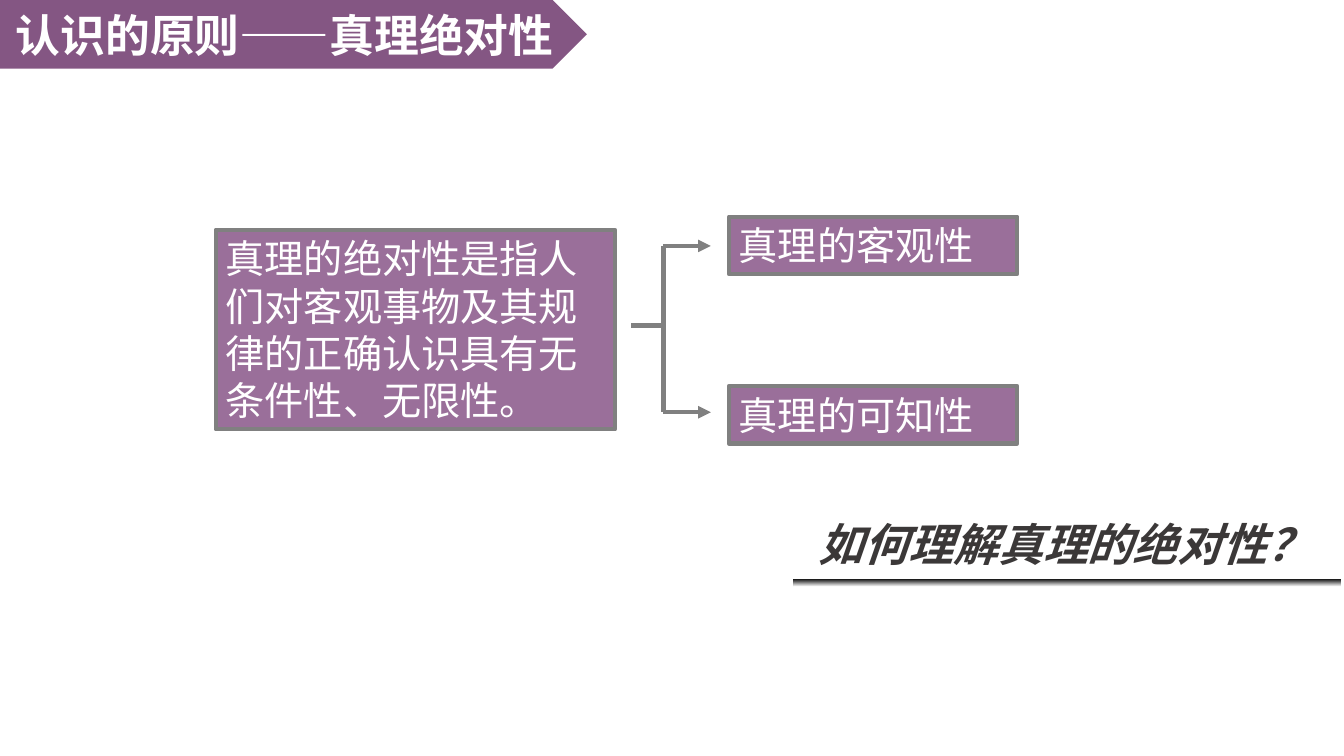
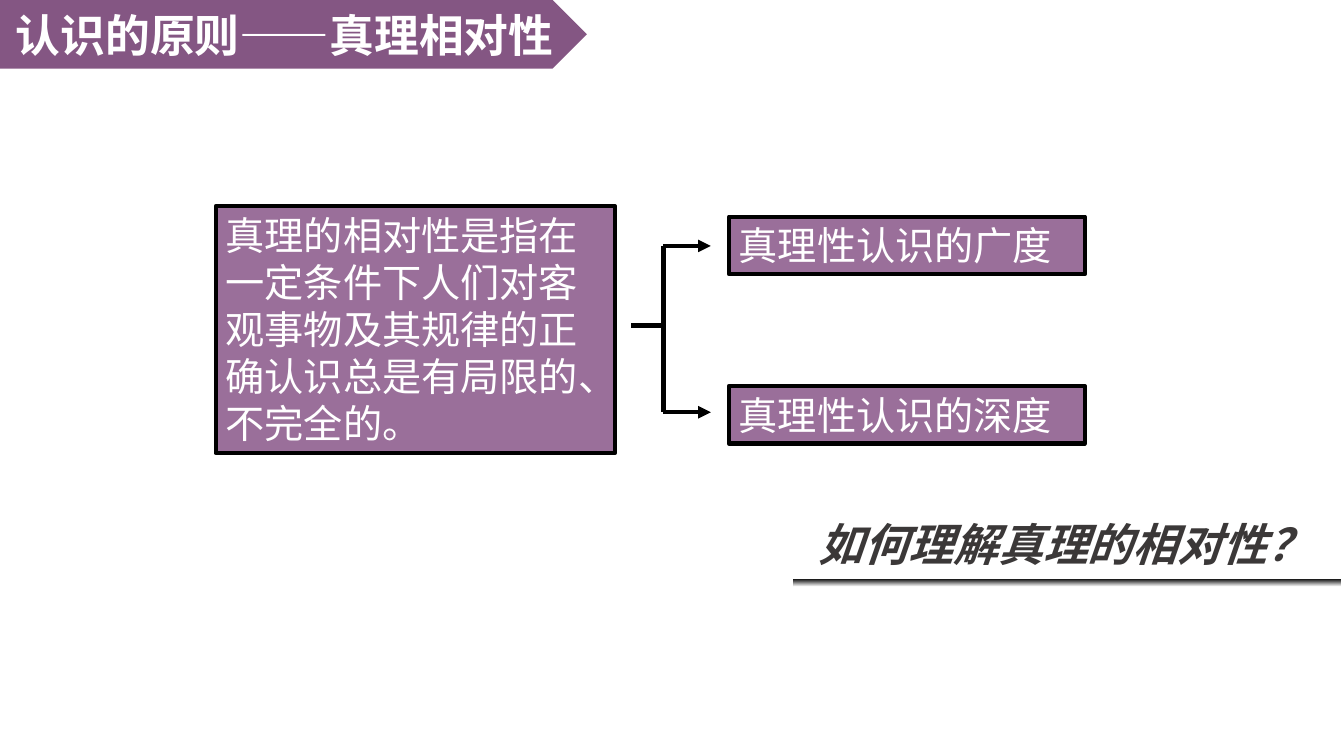
from dataclasses import dataclass

import lxml.etree
import pptx
import pptx.dml.color
import pptx.enum.dml
import pptx.enum.shapes
import pptx.enum.text
import pptx.oxml.ns
import pptx.util

FONT = "Noto Sans CJK SC"
WHITE, BLACK, GREY, CHARCOAL = "FFFFFF", "000000", "808080", "3B3838"
BAND_PURPLE, BOX_PURPLE = "5A1B58", "7F4980"
BAND_HEIGHT = 0.68
LINE_WIDTH = 3
LINE_HEIGHT, BOX_PADDING = 0.47, 0.1
DEFINITION_LEFT, DEFINITION_WIDTH, DEFINITION_MIDDLE = 2.14, 3.96, 3.27
ASPECT_LEFT, ASPECT_TOPS = 7.23, (2.15, 3.83)
STEM_LEFT, SPINE_LEFT, ARROW_END = 6.26, 6.58, 7.05
STEM_TOP, ARROW_TOPS = 3.23, (2.44, 4.09)


@dataclass(frozen=True)
class Topic:
    title: str
    question: str
    definition: str
    definition_lines: int
    aspects: tuple[str, str]
    aspect_width: float
    line_color: str


@dataclass(frozen=True)
class TextStyle:
    size: int
    color: str = WHITE
    bold: bool = False
    italic: bool = False
    centered: bool = False


TITLE_STYLE = TextStyle(32, bold=True, centered=True)
QUESTION_STYLE = TextStyle(32, CHARCOAL, bold=True, italic=True, centered=True)
BOX_STYLE = TextStyle(28)

TOPICS = (
    Topic(
        "认识的原则——真理绝对性",
        "如何理解真理的绝对性？",
        "真理的绝对性是指人们对客观事物及其规律的正确认识具有无条件性、无限性。",
        4,
        ("真理的客观性", "真理的可知性"),
        2.86,
        GREY,
    ),
    Topic(
        "认识的原则——真理相对性",
        "如何理解真理的相对性？",
        "真理的相对性是指在一定条件下人们对客观事物及其规律的正确认识总是有局限的、不完全的。",
        5,
        ("真理性认识的广度", "真理性认识的深度"),
        3.53,
        BLACK,
    ),
)


def rgb(color: str) -> pptx.dml.color.RGBColor:
    return pptx.dml.color.RGBColor.from_string(color)


def inches(*values: float) -> list[pptx.util.Length]:
    return [pptx.util.Inches(value) for value in values]


def add_xml_child(parent, tag: str, **attributes: str):
    lxml.etree.SubElement(parent, pptx.oxml.ns.qn(tag), attributes)


def write_text(shape, text: str, style: TextStyle, middle: bool = False):
    """Write one paragraph; only middle-anchored text keeps its box size."""
    frame = shape.text_frame
    frame.word_wrap = True
    anchors, sizes = pptx.enum.text.MSO_ANCHOR, pptx.enum.text.MSO_AUTO_SIZE
    frame.vertical_anchor = anchors.MIDDLE if middle else anchors.TOP
    frame.auto_size = sizes.NONE if middle else sizes.SHAPE_TO_FIT_TEXT
    paragraph = frame.paragraphs[0]
    alignments = pptx.enum.text.PP_ALIGN
    paragraph.alignment = alignments.CENTER if style.centered else alignments.LEFT
    run = paragraph.add_run()
    run.text = text
    run.font.name = FONT
    run.font.size = pptx.util.Pt(style.size)
    run.font.bold = style.bold
    run.font.italic = style.italic
    run.font.color.rgb = rgb(style.color)
    add_xml_child(run.font._element, "a:ea", typeface=FONT)


def add_plain_shape(slide, kind, left: float, top: float, width: float, height: float):
    """Add a preset shape without shadow or outline."""
    shape = slide.shapes.add_shape(kind, *inches(left, top, width, height))
    shape.shadow.inherit = False
    shape.line.fill.background()
    return shape


def fill_translucent(shape, color: str, opacity: int):
    shape.fill.solid()
    shape.fill.fore_color.rgb = rgb(color)
    color_element = shape._element.spPr.find(".//" + pptx.oxml.ns.qn("a:srgbClr"))
    add_xml_child(color_element, "a:alpha", val=str(opacity * 1000))


def add_title(slide, text: str):
    shapes = pptx.enum.shapes.MSO_SHAPE
    band = add_plain_shape(slide, shapes.PENTAGON, 0, 0, 5.82, BAND_HEIGHT)
    fill_translucent(band, BAND_PURPLE, 74)
    title = slide.shapes.title
    title.left, title.top, title.width, title.height = inches(0, 0, 5.65, BAND_HEIGHT)
    write_text(title, text, TITLE_STYLE, middle=True)
    # The title must lie in front of its band.
    band._element.addnext(title._element)


def add_question(slide, text: str):
    box = slide.shapes.add_textbox(*inches(7.42, 5.08, 6.3, 0.64))
    write_text(box, text, QUESTION_STYLE)
    underline = add_plain_shape(
        slide, pptx.enum.shapes.MSO_SHAPE.RECTANGLE, 7.87, 5.74, 5.43, 0.08
    )
    underline.fill.gradient()
    underline.fill.gradient_angle = 270
    for stop, position, color in zip(
        underline.fill.gradient_stops, (0, 1), (BLACK, WHITE)
    ):
        stop.position = position
        stop.color.rgb = rgb(color)


def box_height(lines: int) -> float:
    return BOX_PADDING + LINE_HEIGHT * lines


def add_box(slide, text: str, left: float, top: float, width: float, lines: int,
            line_color: str):
    box = add_plain_shape(
        slide, pptx.enum.shapes.MSO_SHAPE.RECTANGLE,
        left, top, width, box_height(lines),
    )
    fill_translucent(box, BOX_PURPLE, 79)
    box.line.color.rgb = rgb(line_color)
    box.line.width = pptx.util.Pt(LINE_WIDTH)
    write_text(box, text, BOX_STYLE)


def add_line(shapes, start: tuple[float, float], end: tuple[float, float],
             color: str, arrow: bool = False):
    connector = shapes.add_connector(
        pptx.enum.shapes.MSO_CONNECTOR.STRAIGHT, *inches(*start, *end)
    )
    connector.line.color.rgb = rgb(color)
    connector.line.width = pptx.util.Pt(LINE_WIDTH)
    if arrow:
        line_element = connector._element.spPr.find(pptx.oxml.ns.qn("a:ln"))
        add_xml_child(line_element, "a:tailEnd", type="triangle")
    add_xml_child(connector._element.spPr, "a:effectLst")


def add_bracket(slide, color: str):
    """Join the definition to its two aspects."""
    shapes = slide.shapes.add_group_shape().shapes
    add_line(shapes, (STEM_LEFT, STEM_TOP), (SPINE_LEFT, STEM_TOP), color)
    add_line(shapes, (SPINE_LEFT, ARROW_TOPS[0]), (SPINE_LEFT, ARROW_TOPS[1]), color)
    for top in ARROW_TOPS:
        add_line(shapes, (SPINE_LEFT, top), (ARROW_END, top), color, arrow=True)


def add_topic_slide(presentation, topic: Topic):
    slide = presentation.slides.add_slide(
        presentation.slide_layouts.get_by_name("Title Only")
    )
    add_question(slide, topic.question)
    definition_top = DEFINITION_MIDDLE - box_height(topic.definition_lines) / 2
    add_box(slide, topic.definition, DEFINITION_LEFT, definition_top,
            DEFINITION_WIDTH, topic.definition_lines, topic.line_color)
    for aspect, top in zip(topic.aspects, ASPECT_TOPS):
        add_box(slide, aspect, ASPECT_LEFT, top, topic.aspect_width, 1,
                topic.line_color)
    add_bracket(slide, topic.line_color)
    add_title(slide, topic.title)


def main():
    presentation = pptx.Presentation()
    presentation.slide_width, presentation.slide_height = inches(13.33, 7.5)
    for topic in TOPICS:
        add_topic_slide(presentation, topic)
    presentation.save("out.pptx")


if __name__ == "__main__":
    main()
